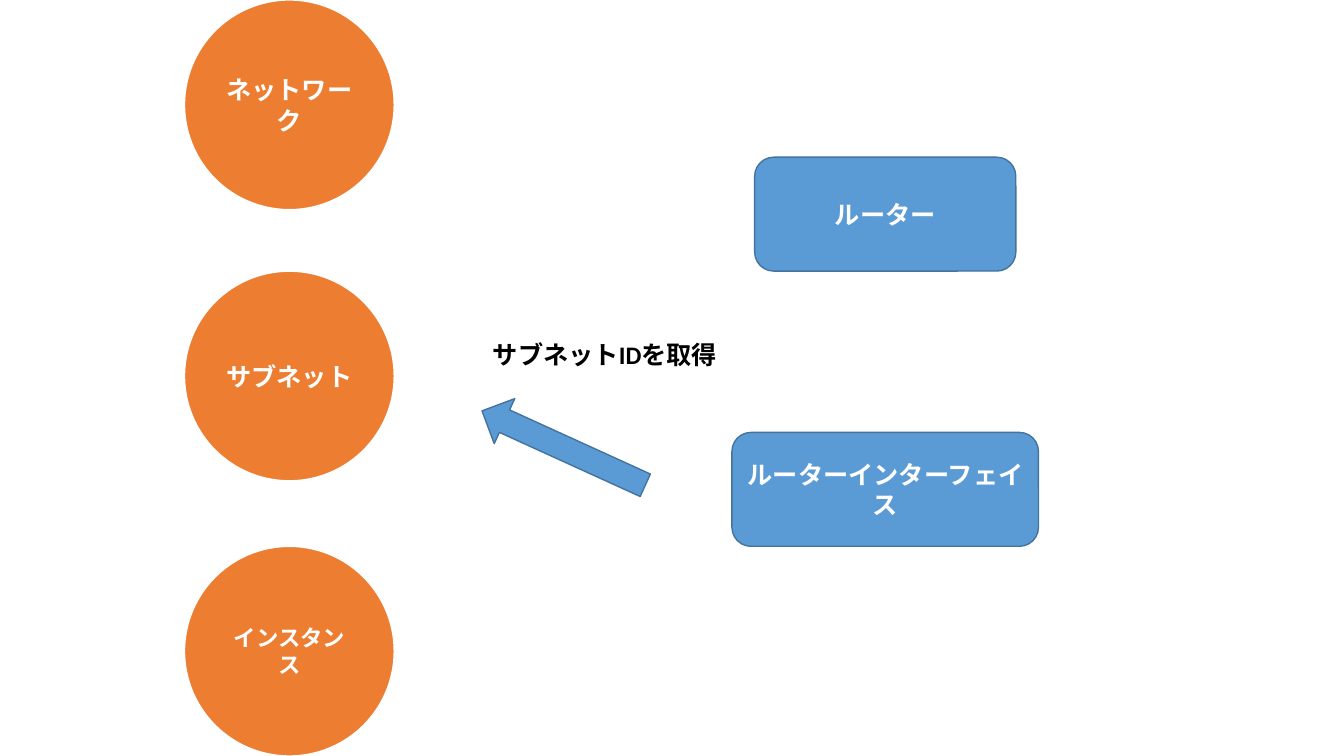
from dataclasses import dataclass

from pptx import Presentation
from pptx.dml.color import RGBColor
from pptx.enum.shapes import MSO_SHAPE
from pptx.enum.text import MSO_ANCHOR, MSO_AUTO_SIZE, PP_ALIGN
from pptx.util import Inches, Pt

CIRCLE = MSO_SHAPE.OVAL
ROUNDED = MSO_SHAPE.ROUNDED_RECTANGLE
ARROW = MSO_SHAPE.RIGHT_ARROW
MIDDLE = MSO_ANCHOR.MIDDLE
CENTER = PP_ALIGN.CENTER
LEFT = PP_ALIGN.LEFT
GROW = MSO_AUTO_SIZE.SHAPE_TO_FIT_TEXT


@dataclass(frozen=True)
class Theme:
    """Colours and type sizes of the slide."""
    font: str = "Calibri"
    body: int = 18
    small: int = 16
    outline: int = 1
    orange: str = "ED7D31"
    blue: str = "5B9BD5"
    blue_edge: str = "43739E"
    white: str = "FFFFFF"
    black: str = "000000"


THEME = Theme()


def rgb(value):
    """Turn a hex string into a colour."""
    return RGBColor.from_string(value)


def write(frame, wording, size, colour, align):
    """Put one bold line of wording into a text frame."""
    frame.word_wrap = True
    paragraph = frame.paragraphs[0]
    paragraph.alignment = align
    run = paragraph.add_run()
    run.text = wording
    formats = {"name": THEME.font, "size": Pt(size), "bold": True}
    for attribute, value in formats.items():
        setattr(run.font, attribute, value)
    run.font.color.rgb = rgb(colour)


def add_block(slide, kind, bounds, fill, edge):
    """Add a filled and outlined preset shape."""
    block = slide.shapes.add_shape(kind, *map(Inches, bounds))
    block.shadow.inherit = False
    block.fill.solid()
    block.fill.fore_color.rgb = rgb(fill)
    block.line.color.rgb = rgb(edge)
    block.line.width = Pt(THEME.outline)
    return block


def add_node(slide, kind, bounds, fill, edge, wording, size):
    """Add a shape with a centred white name."""
    node = add_block(slide, kind, bounds, fill, edge)
    node.text_frame.vertical_anchor = MIDDLE
    write(node.text_frame, wording, size, THEME.white, CENTER)


def add_resource(slide, top, wording, size):
    """Add an orange circle to the left column."""
    diameter = 2.08
    add_node(slide, CIRCLE, (1.83, top, diameter, diameter),
             THEME.orange, THEME.white, wording, size)


def add_router(slide, top, width, wording):
    """Add a blue box centred on the right column."""
    column_center = 8.78
    add_node(slide, ROUNDED, (column_center - width / 2, top, width, 1.13),
             THEME.blue, THEME.blue_edge, wording, THEME.body)


def add_block_arrow(slide, bounds, angle):
    """Add a rotated blue block arrow."""
    arrow = add_block(slide, ARROW, bounds, THEME.blue, THEME.blue_edge)
    arrow.rotation = angle


def add_caption(slide, bounds, wording):
    """Add a black caption that grows with its wording."""
    caption = slide.shapes.add_textbox(*map(Inches, bounds))
    caption.text_frame.auto_size = GROW
    write(caption.text_frame, wording, THEME.body, THEME.black, LEFT)


def main():
    """Build the router interface slide."""
    deck = Presentation()
    deck.slide_width = Inches(13.33)
    deck.slide_height = Inches(7.5)
    slide = deck.slides.add_slide(deck.slide_layouts[6])

    resources = (
        (0, "ネットワーク", THEME.body),
        (2.69, "サブネット", THEME.body),
        (5.42, "インスタンス", THEME.small),
    )
    for top, wording, size in resources:
        add_resource(slide, top, wording, size)

    routers = (
        (1.56, 2.59, "ルーター"),
        (4.29, 3.04, "ルーターインターフェイス"),
    )
    for top, width, wording in routers:
        add_router(slide, top, width, wording)

    add_block_arrow(slide, (4.7, 4.2, 1.78, 0.49), 204.5)
    add_caption(slide, (4.79, 3.32, 2.47, 0.4), "サブネットIDを取得")
    deck.save("out.pptx")


main()
